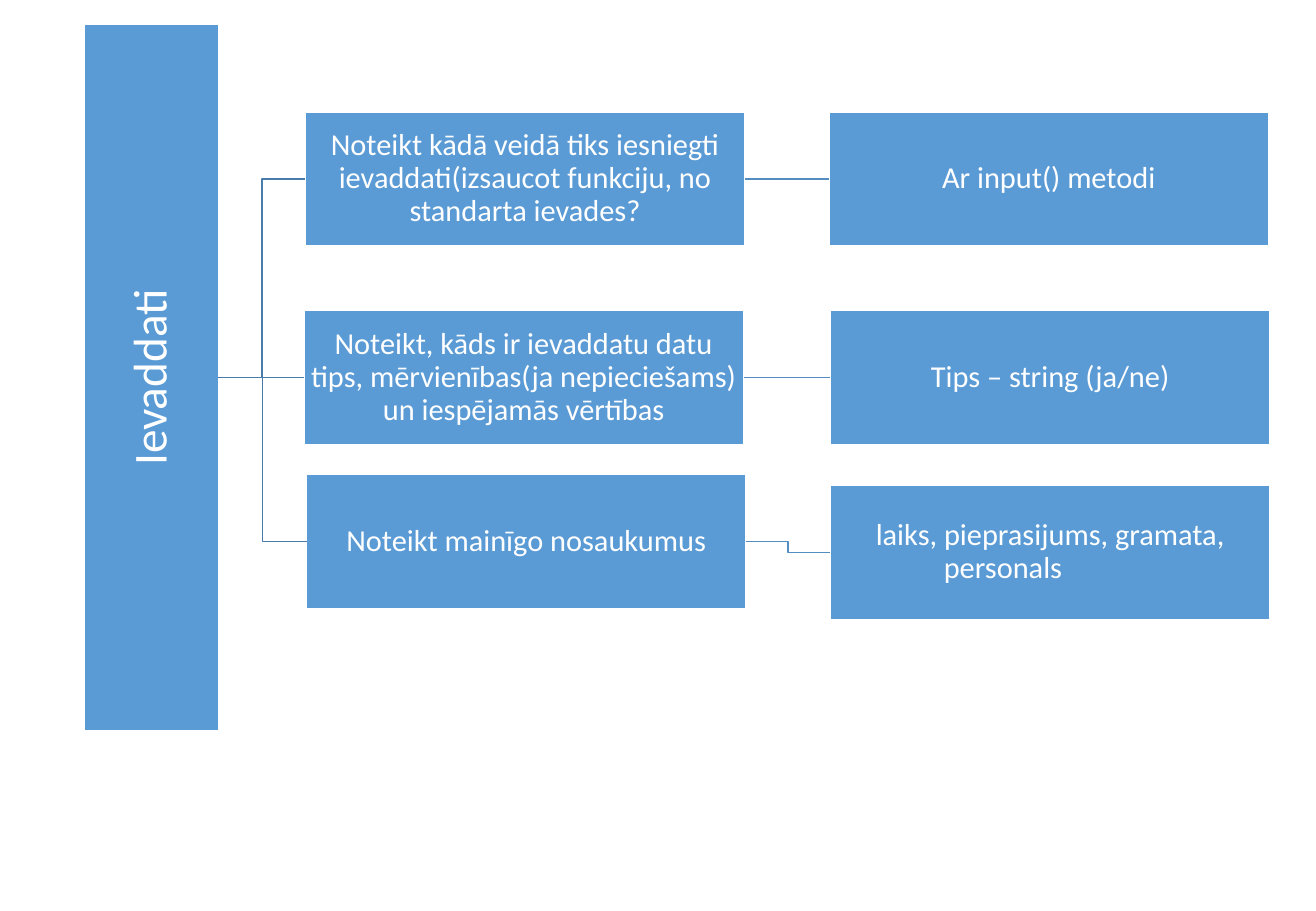
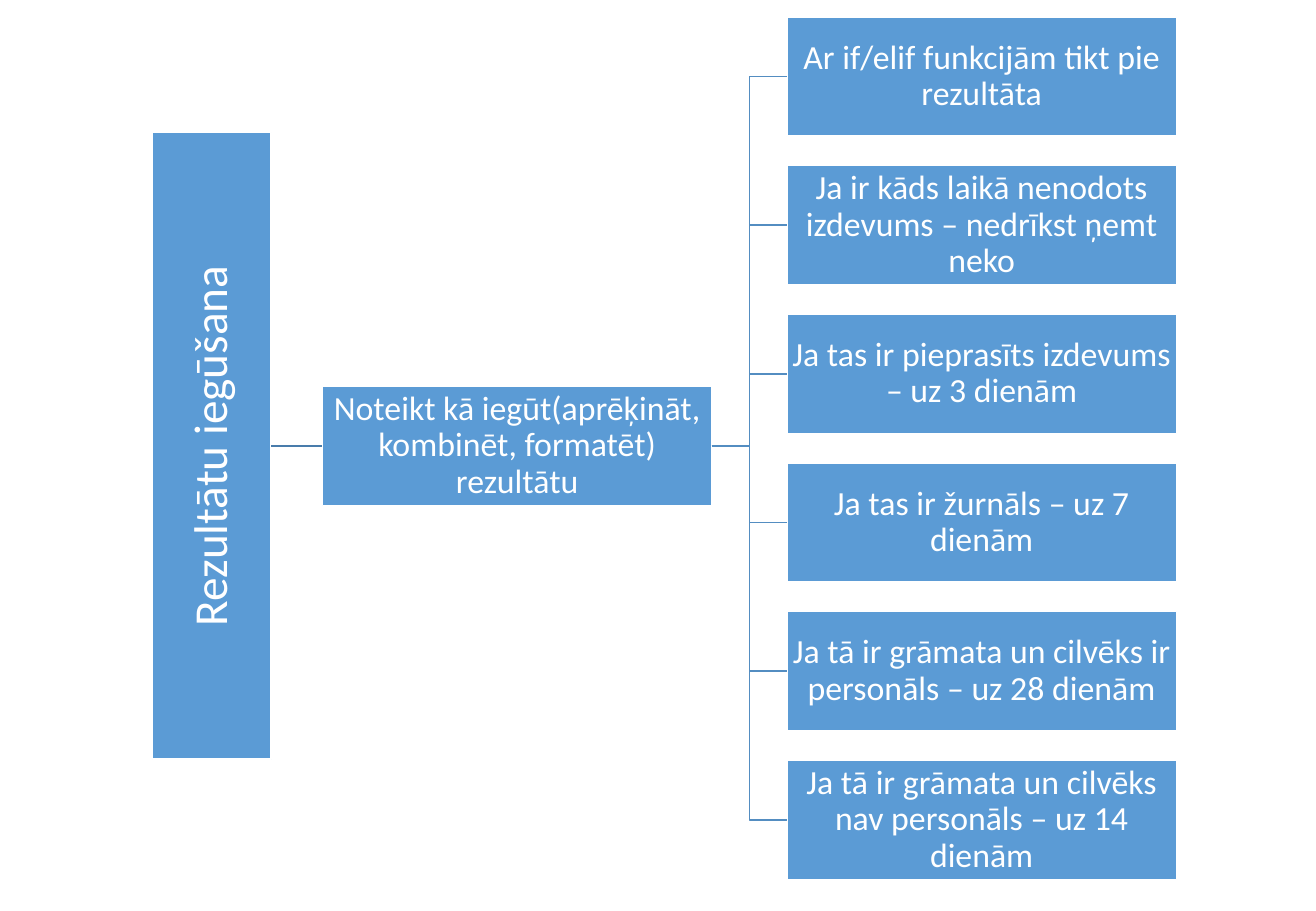
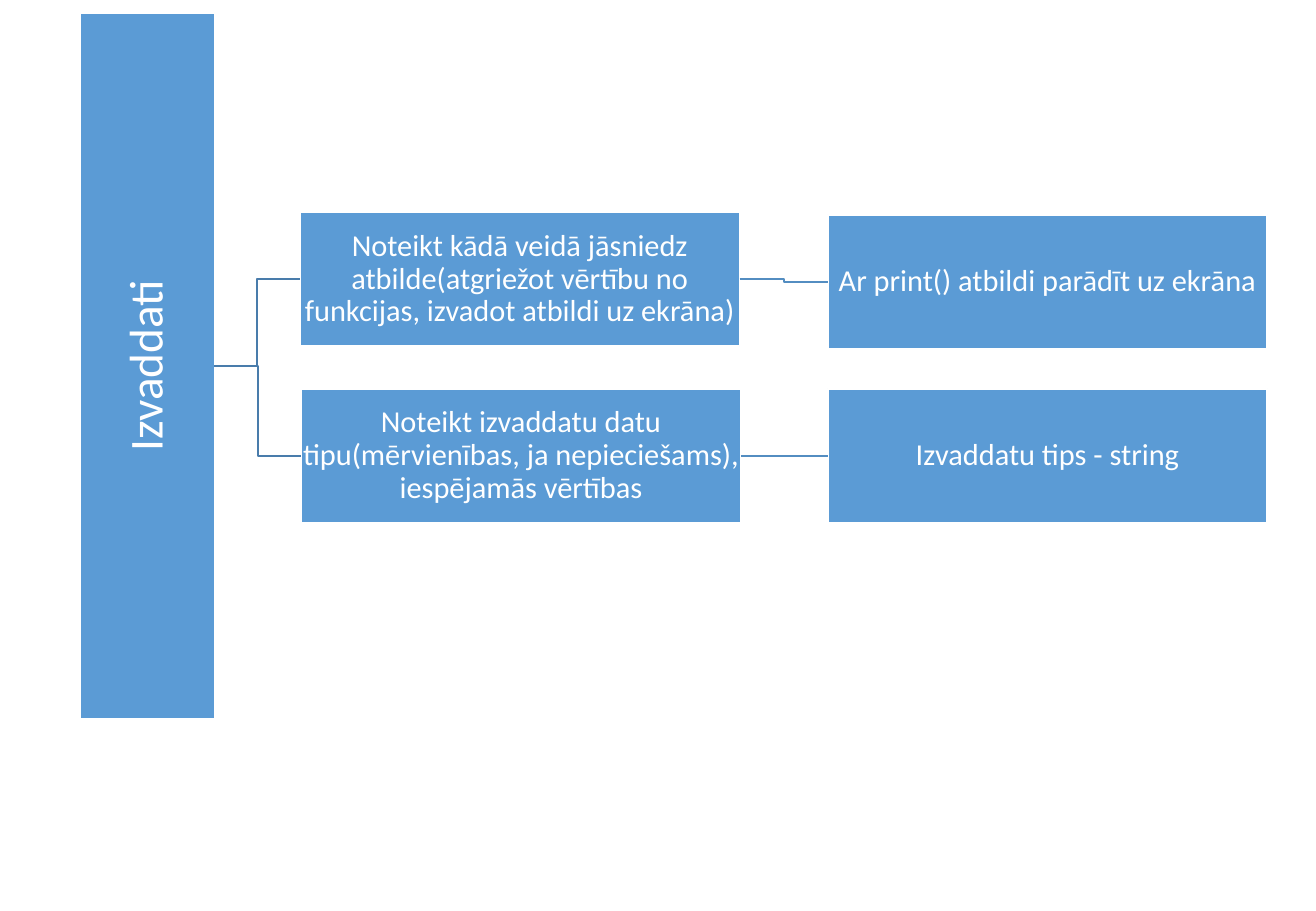
from dataclasses import dataclass

from pptx import Presentation
from pptx.dml.color import RGBColor
from pptx.enum.shapes import MSO_CONNECTOR, MSO_SHAPE
from pptx.enum.text import MSO_ANCHOR, MSO_AUTO_SIZE, PP_ALIGN
from pptx.oxml.ns import qn
from pptx.shapes.autoshape import Shape
from pptx.slide import Slide
from pptx.util import Inches, Pt

WIDE, HIGH = Inches(10.83), Inches(7.5)
FONT = "Calibri"
BLUE, WHITE = "5B9BD5", "FFFFFF"
TRUNK, TWIG = "497CAB", "538DC1"
BAR_SIZE = 28
TAB = Pt(63)
RIGHT, LEFT = 3, 1
TITLE_ONLY = 5


@dataclass(frozen=True)
class Node:
    """A box; left and top are percentages of the slide's size."""
    text: str
    left: float
    top: float
    kids: tuple["Node", ...] = ()


@dataclass(frozen=True)
class Tree:
    """A slide; bar and box are width and height in percent."""
    root: Node
    bar: tuple[float, float]
    box: tuple[float, float]
    size: int


def color(code: str) -> RGBColor:
    return RGBColor.from_string(code)


def across(share: float) -> int:
    return round(WIDE * share / 100)


def down(share: float) -> int:
    return round(HIGH * share / 100)


def format_box(shape: Shape, text: str, size: int, inset: float) -> None:
    shape.shadow.inherit = False
    shape.fill.solid()
    shape.fill.fore_color.rgb = color(BLUE)
    shape.line.color.rgb = color(WHITE)
    shape.line.width = Pt(1)
    frame = shape.text_frame
    look = {"word_wrap": True, "auto_size": MSO_AUTO_SIZE.NONE,
            "vertical_anchor": MSO_ANCHOR.MIDDLE}
    sides = ("left", "right", "top", "bottom")
    look |= {f"margin_{side}": Inches(inset) for side in sides}
    for name, value in look.items():
        setattr(frame, name, value)
    frame.text = text
    para = frame.paragraphs[0]
    para.alignment = PP_ALIGN.CENTER
    para.line_spacing = 0.9
    para._p.get_or_add_pPr().set("defTabSz", str(TAB))
    font = para.runs[0].font
    for name, value in {"name": FONT, "size": Pt(size)}.items():
        setattr(font, name, value)
    font.color.rgb = color(WHITE)


def middle(shape: Shape) -> int:
    return shape.top + shape.height // 2


def right_edge(shape: Shape) -> int:
    """Give the right edge as seen, also for a box on its side."""
    span = shape.height if shape.rotation else shape.width
    return shape.left + (shape.width + span) // 2


def join(slide: Slide, start: Shape, end: Shape, code: str) -> None:
    level = abs(middle(start) - middle(end)) < Pt(1)
    kind = MSO_CONNECTOR.STRAIGHT if level else MSO_CONNECTOR.ELBOW
    line = slide.shapes.add_connector(
        kind, right_edge(start), middle(start), end.left, middle(end))
    upright = not start.rotation
    if upright:
        line.begin_connect(start, RIGHT)
    if upright or level:
        line.end_connect(end, LEFT)
    line.line.color.rgb = color(code)
    line.line.width = Pt(1)
    props = line._element.spPr
    props.append(props.makeelement(qn("a:effectLst"), {}))


def add_bar(slide: Slide, tree: Tree) -> Shape:
    """Turn the title placeholder on its side as the bar at the left."""
    bar = slide.shapes.title
    wide, high = across(tree.bar[0]), down(tree.bar[1])
    shift = (high - wide) // 2
    place = {"left": across(tree.root.left) - shift,
             "top": down(tree.root.top) + shift,
             "width": high, "height": wide, "rotation": 270}
    for name, value in place.items():
        setattr(bar, name, value)
    format_box(bar, tree.root.text, BAR_SIZE, 0.02)
    return bar


def grow(slide: Slide, tree: Tree, node: Node, start: Shape, code: str) -> None:
    """Draw the boxes under a node, and their own boxes in turn."""
    for kid in node.kids:
        box = slide.shapes.add_shape(
            MSO_SHAPE.RECTANGLE, across(kid.left), down(kid.top),
            across(tree.box[0]), down(tree.box[1]))
        format_box(box, kid.text, tree.size, 0.01)
        join(slide, start, box, code)
        grow(slide, tree, kid, box, TWIG)


RULES = (
    "Ar if/elif funkcijām tikt pie rezultāta",
    "Ja ir kāds laikā nenodots izdevums – nedrīkst ņemt neko",
    "Ja tas ir pieprasīts izdevums – uz 3 dienām",
    "Ja tas ir žurnāls – uz 7 dienām",
    "Ja tā ir grāmata un cilvēks ir personāls – uz 28 dienām",
    "Ja tā ir grāmata un cilvēks nav personāls – uz 14 dienām",
)

INPUT = Node("Ievaddati", 6.4, 2.7, (
    Node("Noteikt kādā veidā tiks iesniegti ievaddati(izsaucot funkciju, "
         "no standarta ievades?", 23.2, 12.3,
         (Node("Ar input() metodi", 63, 12.3),)),
    Node("Noteikt, kāds ir ievaddatu datu tips, mērvienības(ja nepieciešams) "
         "un iespējamās vērtības", 23.1, 34.1,
         (Node("Tips – string (ja/ne)", 63.1, 34.1),)),
    Node("Noteikt mainīgo nosaukumus", 23.3, 52.1,
         (Node("laiks, pieprasijums, gramata, personals\t", 63.1, 53.3),)),
))

RESULT = Node("Rezultātu iegūšana", 11.6, 14.55, (
    Node("Noteikt kā iegūt(aprēķināt, kombinēt, formatēt) rezultātu",
         24.5, 42.4,
         tuple(Node(rule, 59.8, 1.85 + 16.32 * row)
               for row, rule in enumerate(RULES))),
))

OUTPUT = Node("Izvaddati", 6.1, 1.4, (
    Node("Noteikt kādā veidā jāsniedz atbilde(atgriežot vērtību no funkcijas, "
         "izvadot atbildi uz ekrāna)", 22.8, 23.3,
         (Node("Ar print() atbildi parādīt uz ekrāna", 62.9, 23.6),)),
    Node("Noteikt izvaddatu datu tipu(mērvienības, ja nepieciešams), "
         "iespējamās vērtības", 22.9, 42.7,
         (Node("Izvaddatu tips - string", 62.9, 42.7),)),
))

LARGE = {"bar": (10.2, 77.5), "box": (33.4, 14.7), "size": 18}
SMALL = {"bar": (9, 68.8), "box": (29.6, 13.1), "size": 20}
TREES = (Tree(INPUT, **LARGE), Tree(RESULT, **SMALL), Tree(OUTPUT, **LARGE))


def main() -> None:
    deck = Presentation()
    deck.slide_width, deck.slide_height = WIDE, HIGH
    for tree in TREES:
        slide = deck.slides.add_slide(deck.slide_layouts[TITLE_ONLY])
        grow(slide, tree, tree.root, add_bar(slide, tree), TRUNK)
    deck.save("out.pptx")


if __name__ == "__main__":
    main()
